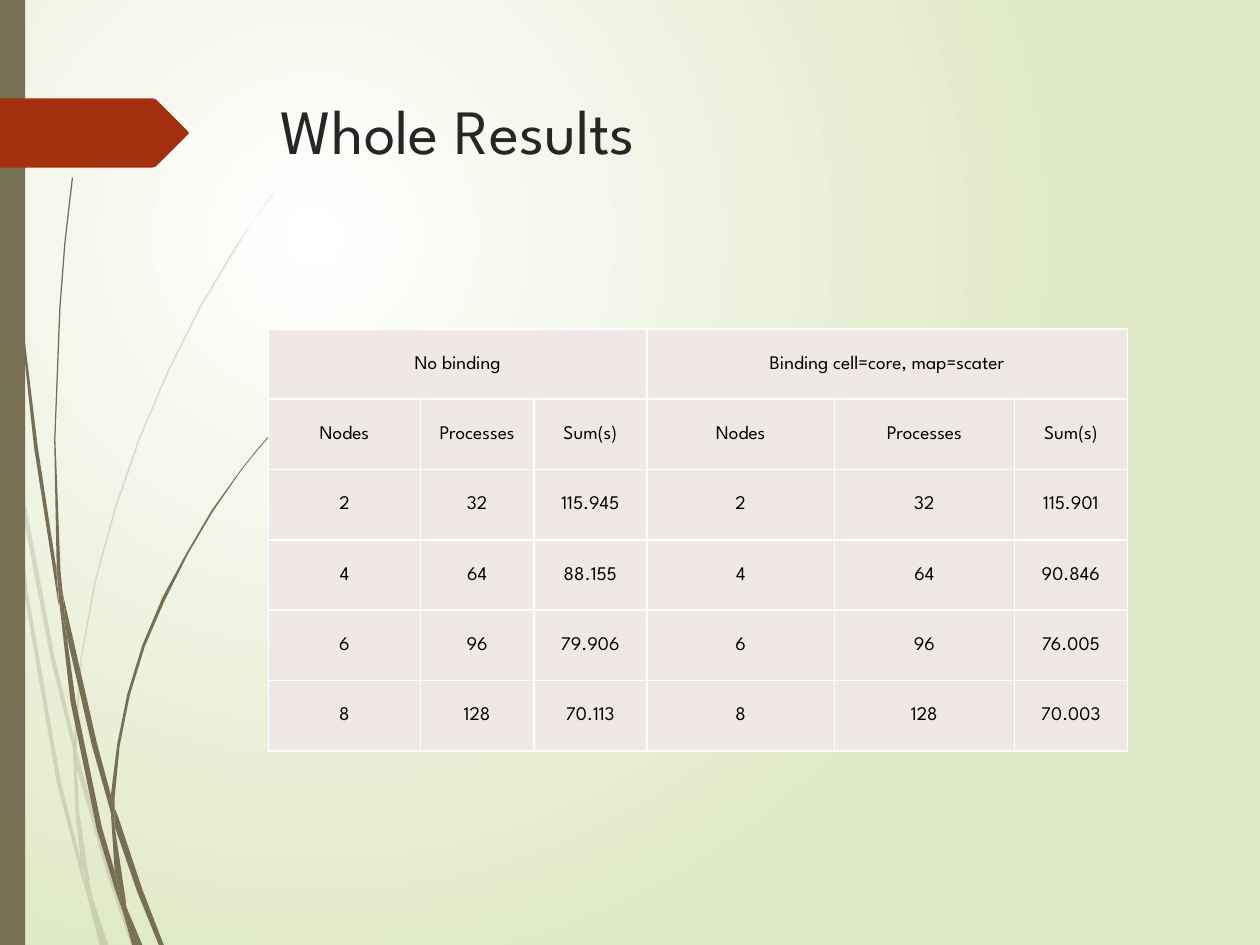
from lxml.etree import SubElement
from pptx import Presentation
from pptx.dml.color import RGBColor
from pptx.enum.shapes import MSO_SHAPE
from pptx.enum.text import MSO_ANCHOR, PP_ALIGN
from pptx.oxml import parse_xml
from pptx.oxml.ns import nsdecls, qn
from pptx.util import Inches, Pt

SLIDE_WIDTH, SLIDE_HEIGHT = 10, 7.5
FONT = "League Spartan"
WHITE = RGBColor(0xFF, 0xFF, 0xFF)
BLACK = RGBColor(0, 0, 0)
PALE_GREEN = RGBColor(0xDF, 0xE8, 0xC4)
OLIVE = RGBColor(0x76, 0x6F, 0x54)
RUST = RGBColor(0xA5, 0x30, 0x10)
CHARCOAL = RGBColor(0x26, 0x26, 0x26)
BLUSH = RGBColor(0xF0, 0xE8, 0xE7)

# Outlines of the grass blades, in inches from the corner of their strip
PALE_BLADES = [
    [(0.08, 3.5), (0.06, 3.22), (0, 2.82), (0, 2.99), (0.07, 3.44)],
    [(0.4, 5.22), (0.59, 5.99), (0.59, 5.86), (0.43, 5.2), (0.1, 3.45), (0.12, 3.76)],
    [(0.64, 6.07), (0.61, 5.96), (0.61, 6.1), (0.85, 6.94), (1.04, 7.5), (1.08, 7.5),
     (0.88, 6.92)],
    [(0.83, 7.5), (0.86, 7.5), (0.73, 7.11)],
    [(0.64, 6.83), (0.48, 6.19), (0.22, 4.69), (0.12, 3.76), (0.08, 3.5), (0.19, 4.7),
     (0.45, 6.21), (0.64, 6.93), (0.7, 7.14), (0.69, 7.07)],
    [(0.58, 5.99), (0.6, 6.46), (0.64, 6.83), (0.67, 6.92), (0.73, 7.11), (0.72, 7.06),
     (0.63, 6.46), (0.61, 6.1), (0.61, 6.08)],
    [(0.61, 5.84), (0.65, 5.22), (0.76, 4.62), (0.92, 4.04), (1.11, 3.49), (1.34, 2.95),
     (1.59, 2.45), (1.87, 1.98), (2.01, 1.75), (2.17, 1.54), (2.17, 1.53), (2.01, 1.75),
     (1.86, 1.97), (1.58, 2.44), (1.33, 2.94), (1.1, 3.48), (0.91, 4.03), (0.75, 4.61),
     (0.64, 5.22), (0.59, 5.84), (0.59, 5.86), (0.61, 5.96)],
    [(0.7, 7.14), (0.79, 7.5), (0.82, 7.5)],
    [(0.61, 6.08), (0.61, 6.1), (0.61, 5.96), (0.59, 5.86), (0.58, 5.99)],
    [(0.67, 6.92), (0.65, 6.83), (0.69, 7.07), (0.7, 7.14), (0.82, 7.5), (0.83, 7.5),
     (0.73, 7.11)],
]
DARK_BLADES = [
    [(0.05, 1.1), (0.14, 2.33), (0.27, 3.55), (0.46, 4.77), (0.47, 4.81), (0.45, 4.57),
     (0.45, 4.53), (0.3, 3.55), (0.15, 2.32), (0.06, 1.09), (0.04, 0.48), (0.03, 0),
     (0.02, 0), (0.03, 0.48)],
    [(0.73, 5.92), (0.88, 6.45), (0.88, 6.33), (0.88, 6.31), (0.77, 5.9), (0.5, 4.72),
     (0.53, 5.05)],
    [(0.94, 6.49), (0.91, 6.41), (0.91, 6.56), (1.09, 7.08), (1.26, 7.5), (1.3, 7.5),
     (1.13, 7.06)],
    [(0.91, 6.91), (0.81, 6.57), (0.6, 5.56), (0.53, 5.05), (0.47, 4.77), (0.56, 5.57),
     (0.77, 6.59), (0.92, 7.08), (0.97, 7.22), (0.96, 7.17)],
    [(0.5, 4.72), (0.48, 4.53), (0.44, 3.49), (0.48, 2.45), (0.52, 1.93), (0.58, 1.41),
     (0.57, 1.41), (0.51, 1.93), (0.47, 2.45), (0.43, 3.49), (0.45, 4.49), (0.49, 4.72)],
    [(1.1, 7.5), (1.13, 7.5), (1, 7.19)],
    [(0.47, 4.77), (0.53, 5.05), (0.5, 4.72), (0.49, 4.72), (0.45, 4.49), (0.45, 4.53)],
    [(0.91, 6.33), (0.95, 5.92), (1.03, 5.52), (1.15, 5.13), (1.31, 4.76), (1.49, 4.4),
     (1.69, 4.06), (1.91, 3.74), (2.03, 3.59), (2.16, 3.44), (2.15, 3.44), (2.03, 3.58),
     (1.91, 3.73), (1.68, 4.05), (1.48, 4.39), (1.29, 4.74), (1.13, 5.12), (1.01, 5.51),
     (0.93, 5.91), (0.88, 6.31), (0.91, 6.41)],
    [(0.97, 7.22), (1.05, 7.5), (1.08, 7.5)],
    [(0.88, 6.45), (0.91, 6.91), (0.96, 7.06), (1, 7.19), (1, 7.16), (0.91, 6.56),
     (0.9, 6.51)],
    [(0.88, 6.45), (0.9, 6.51), (0.91, 6.56), (0.91, 6.41), (0.88, 6.31), (0.88, 6.33)],
    [(0.96, 7.06), (0.91, 6.91), (0.96, 7.17), (0.97, 7.22), (1.08, 7.5), (1.1, 7.5),
     (1, 7.19)],
]
BANNER = [(1.49, 1.07), (1.24, 1.32), (1.21, 1.33), (0, 1.33), (0, 0.78), (1.21, 0.78),
          (1.24, 0.79), (1.49, 1.04), (1.5, 1.06)]

COLUMN_WIDTHS = [1.21, 0.9, 0.9, 1.49, 1.43, 0.9]
HEADINGS = ["No binding", "Binding cell=core, map=scater"]
ROWS = [
    ["Nodes", "Processes", "Sum(s)"] * 2,
    ["2", "32", "115.945", "2", "32", "115.901"],
    ["4", "64", "88.155", "4", "64", "90.846"],
    ["6", "96", "79.906", "6", "96", "76.005"],
    ["8", "128", "70.113", "8", "128", "70.003"],
]


def paint(shape, color):
    shape.fill.solid()
    shape.fill.fore_color.rgb = color
    shape.line.fill.background()
    shape.shadow.inherit = False


def add_outline(shapes, points, left, top, color):
    corners = [(Inches(left + x), Inches(top + y)) for x, y in points]
    builder = shapes.build_freeform(*corners[0])
    builder.add_line_segments(corners[1:], close=True)
    shape = builder.convert_to_shape()
    paint(shape, color)
    return shape


def style_run(paragraph, size, color):
    font = paragraph.runs[0].font
    font.name, font.size, font.color.rgb = FONT, Pt(size), color


def set_background(slide):
    fill = slide.background.fill
    fill.gradient()
    for stop, color in zip(fill.gradient_stops, (WHITE, PALE_GREEN)):
        stop.color.rgb = color
    # Radial gradient centred a quarter of the way in
    linear = slide.element.find(".//" + qn("a:lin"))
    linear.getparent().replace(linear, parse_xml(
        f'<a:path {nsdecls("a")} path="circle">'
        '<a:fillToRect l="50000" t="50000" r="100000" b="100000"/></a:path>'))


def add_decoration(slide, left, top, height):
    # Grass: translucent blades behind solid ones
    for blades, opacity in ((PALE_BLADES, 20), (DARK_BLADES, 100)):
        group = slide.shapes.add_group_shape()
        for points in blades:
            blade = add_outline(group.shapes, points, left, top, OLIVE)
            if opacity < 100:
                color = blade.element.spPr.find(".//" + qn("a:srgbClr"))
                SubElement(color, qn("a:alpha"), val=str(opacity * 1000))
    # Side bar and arrow banner
    bar = slide.shapes.add_shape(MSO_SHAPE.RECTANGLE, Inches(left), Inches(top),
                                 Inches(0.2), Inches(height))
    paint(bar, OLIVE)
    add_outline(slide.shapes, BANNER, left, top, RUST)


def add_title(slide, left, top, width, height):
    box = slide.shapes.add_textbox(*map(Inches, (left, top, width, height)))
    box.text_frame.word_wrap = True
    box.text_frame.text = "Whole Results"
    style_run(box.text_frame.paragraphs[0], 36, CHARCOAL)


def format_cell(cell):
    cell.fill.solid()
    cell.fill.fore_color.rgb = BLUSH
    cell.vertical_anchor = MSO_ANCHOR.MIDDLE
    cell.margin_left = cell.margin_right = cell.margin_top = Inches(0.01)
    cell.margin_bottom = 0
    properties = cell._tc.get_or_add_tcPr()
    for index, side in enumerate(("lnL", "lnR", "lnT", "lnB")):
        properties.insert(index, parse_xml(
            f'<a:{side} {nsdecls("a")} w="12700"><a:solidFill>'
            f'<a:srgbClr val="{WHITE}"/></a:solidFill></a:{side}>'))


def add_results_table(slide, left, top, width, height):
    row_count, column_count = len(ROWS) + 1, len(COLUMN_WIDTHS)
    table = slide.shapes.add_table(row_count, column_count,
                                   *map(Inches, (left, top, width, height))).table
    for column, share in zip(table.columns, COLUMN_WIDTHS):
        column.width = Inches(width * share / sum(COLUMN_WIDTHS))
    half = column_count // 2
    for index, heading in enumerate(HEADINGS):
        first = index * half
        table.cell(0, first).merge(table.cell(0, first + half - 1))
        table.cell(0, first).text = heading
    for row, values in enumerate(ROWS, start=1):
        for column, value in enumerate(values):
            table.cell(row, column).text = value
    for cell in table.iter_cells():
        format_cell(cell)
        if not cell.is_spanned:
            paragraph = cell.text_frame.paragraphs[0]
            paragraph.alignment = PP_ALIGN.CENTER
            style_run(paragraph, 11, BLACK)


def main():
    presentation = Presentation()
    presentation.slide_width = Inches(SLIDE_WIDTH)
    presentation.slide_height = Inches(SLIDE_HEIGHT)
    slide = presentation.slides.add_slide(presentation.slide_layouts[6])
    set_background(slide)
    add_decoration(slide, 0, 0, SLIDE_HEIGHT)
    add_title(slide, 2.13, 0.68, 7.21, 1.4)
    add_results_table(slide, 2.13, 2.61, 6.82, 3.35)
    presentation.save("out.pptx")


if __name__ == "__main__":
    main()
